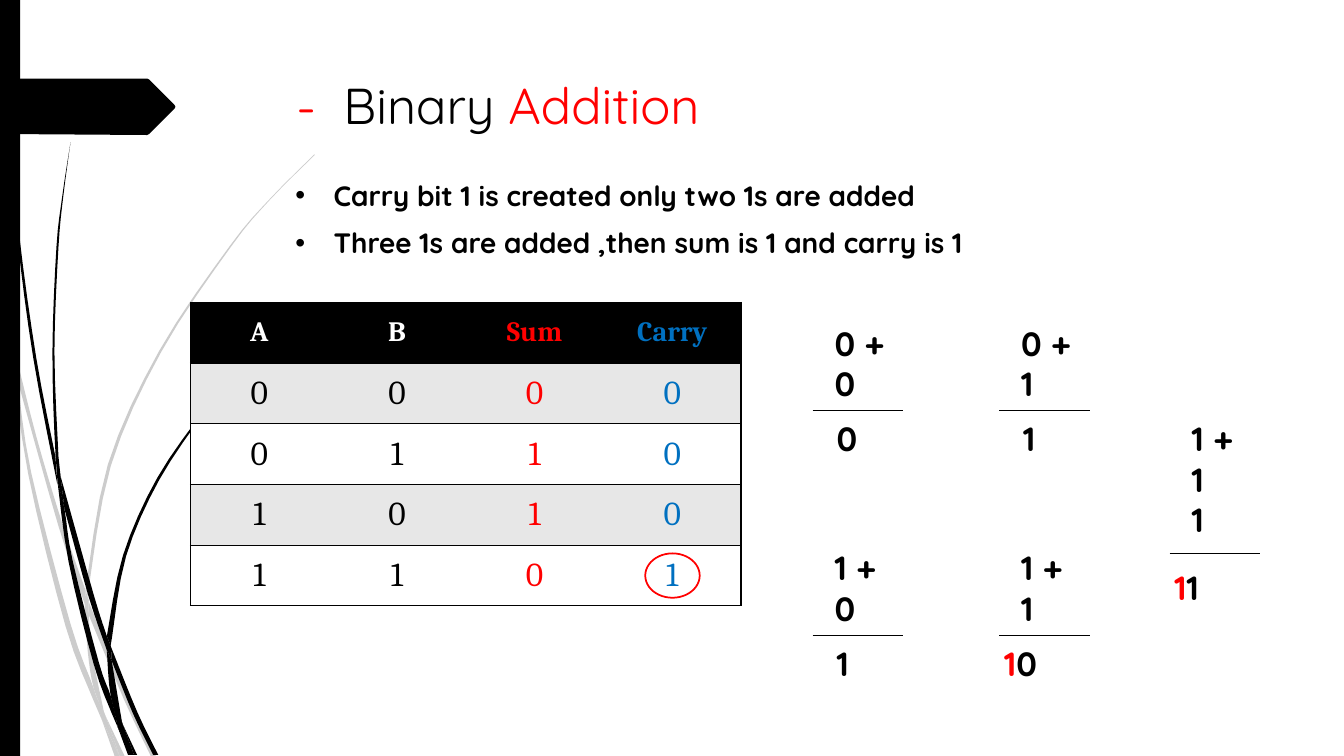
from lxml.etree import SubElement
from pptx import Presentation
from pptx.dml.color import RGBColor
from pptx.enum.shapes import MSO_CONNECTOR, MSO_SHAPE
from pptx.enum.text import MSO_ANCHOR, PP_ALIGN
from pptx.oxml.ns import qn
from pptx.util import Inches, Pt

BLACK = RGBColor(0x00, 0x00, 0x00)
WHITE = RGBColor(0xFF, 0xFF, 0xFF)
RED = RGBColor(0xFF, 0x00, 0x00)
BLUE = RGBColor(0x00, 0x70, 0xC0)
BAND = RGBColor(0xE7, 0xE7, 0xE7)
GREY = RGBColor(0xCC, 0xCC, 0xCC)

GREY_BLADES = [
    ([(0, 2.82), (0.09, 3.22), (0.11, 3.5)], [(0.1, 3.44), (0, 2.99)]),
    ([(0.14, 3.45), (0.36, 4.33), (0.62, 5.2), (0.85, 5.86)],
     [(0.84, 5.99), (0.58, 5.22), (0.17, 3.76)]),
    ([(0.88, 5.96), (0.92, 6.07), (1.27, 6.92), (1.55, 7.51)], [(1.5, 7.51), (1.23, 6.94), (0.88, 6.1)]),
    ([(1.05, 7.11), (1.24, 7.51)], [(1.19, 7.51)]),
    ([(0.11, 3.5), (0.17, 3.76), (0.31, 4.69), (0.7, 6.19), (0.93, 6.83), (1.01, 7.14)],
     [(0.92, 6.93), (0.65, 6.21), (0.28, 4.7), (0.11, 3.5)]),
    ([(0.84, 5.99), (0.87, 6.46), (0.93, 6.83), (1.05, 7.11)], [(1.03, 7.06), (0.91, 6.46), (0.88, 6.08)]),
    ([(3.12, 1.53), (2.68, 1.97), (2.28, 2.44), (1.58, 3.48), (1.07, 4.61), (0.85, 5.84)],
     [(0.88, 5.96), (0.88, 5.84), (1.1, 4.62), (1.6, 3.49), (2.29, 2.45), (2.68, 1.98), (3.12, 1.54)]),
    ([(1.01, 7.14), (1.19, 7.51)], [(1.14, 7.51)]),
    ([(0.85, 5.86), (0.88, 5.96)], [(0.88, 6.1), (0.84, 5.99)]),
    ([(0.93, 6.83), (0.96, 6.92), (1.05, 7.11), (1.19, 7.51)], [(1.01, 7.14), (0.99, 7.07)]),
]
BLACK_BLADES = [
    ([(0.03, 0), (0.07, 1.1), (0.17, 2.33), (0.33, 3.55), (0.57, 4.81)],
     [(0.55, 4.53), (0.36, 3.55), (0.19, 2.32), (0.08, 1.09), (0.04, 0)]),
    ([(0.6, 4.72), (0.93, 5.9), (1.06, 6.31)], [(1.06, 6.45), (0.88, 5.92), (0.64, 5.05)]),
    ([(1.1, 6.41), (1.13, 6.49), (1.36, 7.06), (1.57, 7.49)], [(1.52, 7.49), (1.32, 7.08), (1.11, 6.56)]),
    ([(0.57, 4.77), (0.64, 5.05), (0.72, 5.56), (0.98, 6.57), (1.1, 6.91), (1.17, 7.22)],
     [(1.11, 7.08), (0.93, 6.59), (0.68, 5.57), (0.57, 4.77)]),
    ([(0.7, 1.41), (0.62, 1.93), (0.56, 2.45), (0.52, 3.49), (0.55, 4.49), (0.6, 4.72)],
     [(0.58, 4.53), (0.54, 3.49), (0.58, 2.45), (0.63, 1.93), (0.7, 1.41)]),
    ([(1.22, 7.19), (1.36, 7.49)], [(1.33, 7.49)]),
    ([(0.55, 4.49), (0.6, 4.72)], [(0.64, 5.05), (0.57, 4.77)]),
    ([(2.6, 3.44), (2.31, 3.73), (2.04, 4.05), (1.56, 4.74), (1.22, 5.51), (1.06, 6.31)],
     [(1.1, 6.41), (1.11, 6.33), (1.25, 5.52), (1.58, 4.76), (2.05, 4.06), (2.31, 3.74), (2.61, 3.44)]),
    ([(1.17, 7.22), (1.31, 7.49)], [(1.27, 7.49)]),
    ([(1.06, 6.45), (1.1, 6.91), (1.22, 7.19)], [(1.21, 7.16), (1.11, 6.56)]),
    ([(1.06, 6.31), (1.1, 6.41)], [(1.11, 6.56), (1.06, 6.45)]),
    ([(1.1, 6.91), (1.16, 7.06), (1.22, 7.19), (1.33, 7.49)], [(1.3, 7.49), (1.17, 7.22)]),
]
ARROW = [(0, 0.78), (1.46, 0.78), (1.48, 0.79), (1.73, 1.04), (1.74, 1.06),
         (1.73, 1.08), (1.48, 1.33), (1.46, 1.34), (0, 1.33)]
BULLETS = ["Carry bit 1 is created only two 1s are added",
           "Three 1s are added ,then sum is 1 and carry is 1"]
TRUTH_TABLE = [["A", "B", "Sum", "Carry"], "0000", "0110", "1010", "1101"]
SUMS = [
    (8.18, 3.15, ["0 +", "0"], "", "0"),
    (10.03, 3.15, ["0 +", "1"], "", "1"),
    (8.18, 5.38, ["1 +", "0"], "", "1"),
    (10.03, 5.38, ["1 +", "1"], "1", "0"),
    (11.72, 4.1, ["1 +", "1", "1"], "1", "1"),
]


def smooth(points, steps=4):
    """Return points along a Catmull-Rom curve through the given ones."""
    if len(points) < 3:
        return points
    ends = [points[0], *points, points[-1]]
    curve = []
    for a, b, c, d in zip(ends, ends[1:], ends[2:], ends[3:]):
        for i in range(steps):
            t = i / steps
            curve.append(tuple(
                (2 * q + (v - u) * t + (2 * u - 5 * q + 4 * v - w) * t ** 2
                 + (3 * q - u - 3 * v + w) * t ** 3) / 2
                for u, q, v, w in zip(a, b, c, d)))
    return curve + [points[-1]]


def paint(sp, fill=None, line=None, width=1):
    """Set the fill and outline of a shape and drop its shadow."""
    sp.shadow.inherit = False
    if fill is None:
        sp.fill.background()
    else:
        sp.fill.solid()
        sp.fill.fore_color.rgb = fill
    if line is None:
        sp.line.fill.background()
    else:
        sp.line.color.rgb = line
        sp.line.width = Pt(width)


def add_outline(s, points, color):
    """Add a filled closed outline."""
    start, *rest = [(Inches(x), Inches(y)) for x, y in points]
    builder = s.shapes.build_freeform(*start)
    builder.add_line_segments(rest, close=True)
    paint(builder.convert_to_shape(), color)


def format_run(r, size, color, bold=False, font="Quicksand"):
    """Set the font of a run."""
    r.font.name = font
    r.font.size = Pt(size)
    r.font.bold = bold
    r.font.color.rgb = color


def add_text(s, x, y, w, h, paragraphs, size, bold=False):
    """Add a text box from paragraphs of (text, color) runs."""
    tf = s.shapes.add_textbox(Inches(x), Inches(y), Inches(w), Inches(h)).text_frame
    tf.word_wrap = True
    for i, runs in enumerate(paragraphs):
        p = tf.add_paragraph() if i else tf.paragraphs[0]
        for text, color in runs:
            r = p.add_run()
            r.text = text
            format_run(r, size, color, bold)
    return tf


def add_bullets(s):
    """Add the two bulleted rules."""
    tf = add_text(s, 2.83, 1.72, 9.75, 4.74, [[(text, BLACK)] for text in BULLETS], 20, True)
    for i, p in enumerate(tf.paragraphs):
        if i:
            p.space_before = Pt(10)
        pPr = p._p.get_or_add_pPr()
        pPr.set("marL", str(Inches(0.38)))
        pPr.set("indent", str(-Inches(0.38)))
        SubElement(pPr, qn("a:buFont"), typeface="Arial")
        SubElement(pPr, qn("a:buChar"), char="•")


def set_borders(cell, sides):
    """Draw black borders on the named sides and none on the others."""
    tcPr = cell._tc.get_or_add_tcPr()
    for side in "LRTB":
        ln = SubElement(tcPr, qn(f"a:ln{side}"), w=str(Pt(1)))
        if side in sides:
            SubElement(SubElement(ln, qn("a:solidFill")), qn("a:srgbClr"), val=str(BLACK))
        else:
            SubElement(ln, qn("a:noFill"))


def add_truth_table(s):
    """Add the table of sums and carries."""
    rows, cols = len(TRUTH_TABLE), len(TRUTH_TABLE[0])
    table = s.shapes.add_table(rows, cols, Inches(1.89), Inches(3),
                               Inches(5.46), Inches(3.01)).table
    for i, row in enumerate(TRUTH_TABLE):
        for j, text in enumerate(row):
            cell = table.cell(i, j)
            set_borders(cell, "TB" + {0: "L", cols - 1: "R"}.get(j, ""))
            cell.fill.solid()
            cell.fill.fore_color.rgb = BLACK if i == 0 else (WHITE, BAND)[i % 2]
            cell.vertical_anchor = MSO_ANCHOR.MIDDLE
            p = cell.text_frame.paragraphs[0]
            p.text = text
            p.alignment = PP_ALIGN.CENTER
            plain = BLACK if i else WHITE
            format_run(p.runs[0], 24 if i else 20, (plain, plain, RED, BLUE)[j], i == 0, "Cambria")


def add_sum(s, x, y, operands, carry, digit):
    """Add a column sum with its rule and result."""
    extra = len(operands) - 2
    add_text(s, x, y, 1.01, 0.91 + 1.07 * extra, [[(n, BLACK)] for n in operands], 24, True)
    rule_y = Inches(y + 0.92 + 0.47 * extra)
    rule = s.shapes.add_connector(MSO_CONNECTOR.STRAIGHT, Inches(x - 0.12), rule_y,
                                  Inches(x + 0.78), rule_y)
    rule.line.color.rgb = BLACK
    rule.line.width = Pt(0.75)
    SubElement(rule._element.spPr, qn("a:effectLst"))
    result = [(carry, RED), (digit, BLACK)] if carry else [(digit, BLACK)]
    add_text(s, x - 0.17 if carry else x + 0.02, y + 0.95 + 0.53 * extra,
             1.25 if carry else 1.01, 0.5, [result], 24, True)


def main():
    """Build the binary addition slide."""
    prs = Presentation()
    prs.slide_width, prs.slide_height = Inches(13.33), Inches(7.5)
    s = prs.slides.add_slide(prs.slide_layouts[6])
    for color, blades in ((GREY, GREY_BLADES), (BLACK, BLACK_BLADES)):
        for out, back in blades:
            add_outline(s, smooth(out) + smooth(back), color)
    paint(s.shapes.add_shape(MSO_SHAPE.RECTANGLE, 0, 0, Inches(0.2), Inches(7.5)), BLACK)
    add_outline(s, ARROW, BLACK)
    add_text(s, 2.84, 0.69, 9.75, 1.4, [[("-  ", RED), ("Binary", BLACK), (" Addition", RED)]], 36)
    add_bullets(s)
    add_truth_table(s)
    for column_sum in SUMS:
        add_sum(s, *column_sum)
    ring = s.shapes.add_shape(MSO_SHAPE.OVAL, Inches(6.4), Inches(5.49), Inches(0.54), Inches(0.44))
    paint(ring, line=RED, width=1.25)
    prs.save("out.pptx")


if __name__ == "__main__":
    main()
